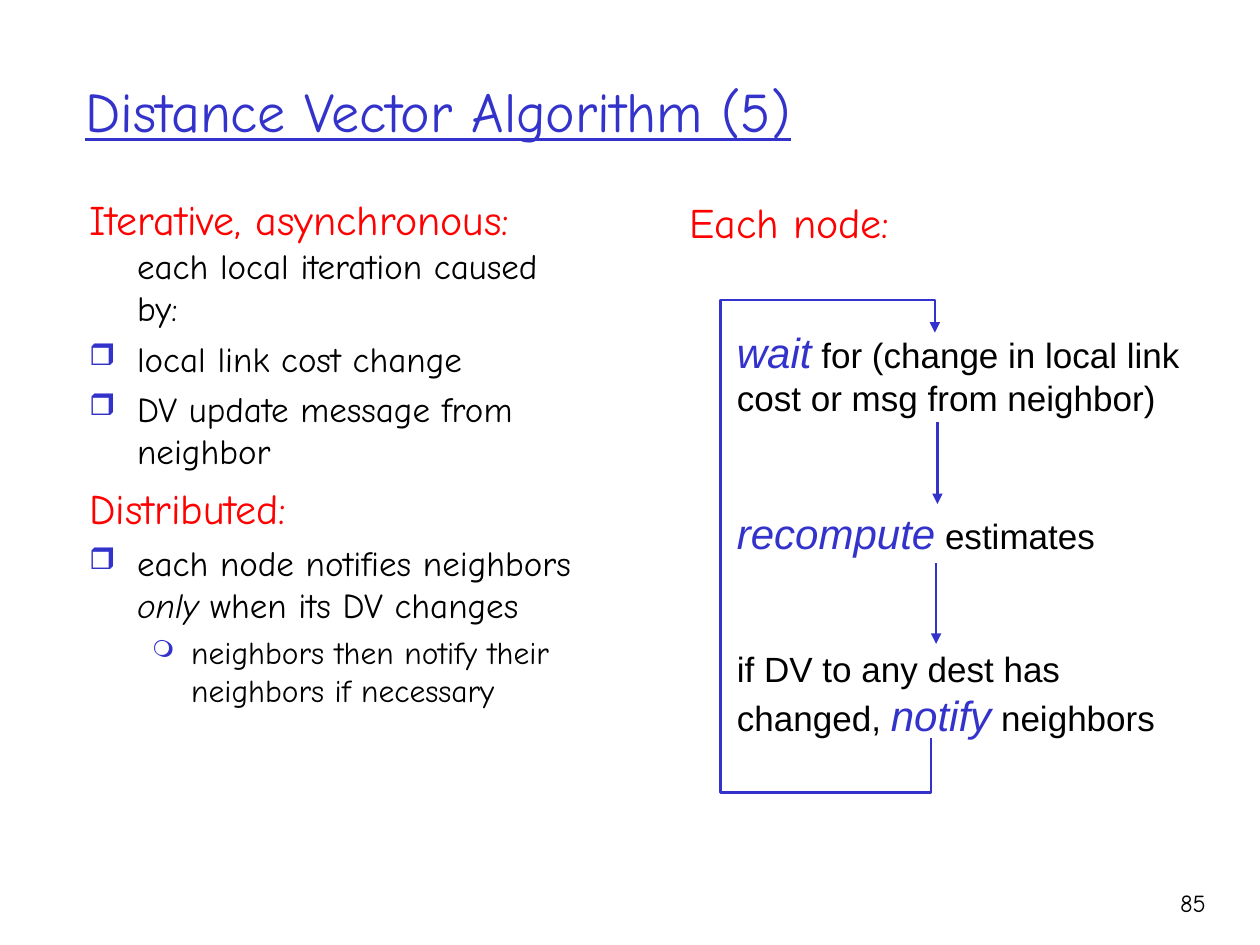
from lxml.etree import SubElement as Sub
from pptx import Presentation
from pptx.dml.color import RGBColor as RGB
from pptx.enum.shapes import MSO_CONNECTOR as Conn
from pptx.enum.text import MSO_ANCHOR as Anchor, PP_ALIGN as Align
from pptx.oxml.ns import qn
from pptx.util import Inches, Pt

BLUE = RGB(0x33, 0x33, 0xCC)
RED = RGB(0xFF, 0x00, 0x00)
BLACK = RGB(0x00, 0x00, 0x00)
COMIC, ARIAL = "Comic Neue", "Arial"

KINDS = {
    "head": (24, RED, False),
    "body": (20, BLACK, False),
    "em": (20, BLACK, True),
    "sub": (18, BLACK, False),
    "key": (24, BLUE, True),
}
LEVELS = {
    "plain": (0, 0.38, -0.38, None, None),
    "box": (0, 0.38, -0.38, "❒", 85),
    "ring": (1, 0.81, -0.31, "❍", 75),
}
POINTS = [
    ("plain", 0, [("Iterative, asynchronous: ", "head"),
                  ("each local iteration caused by:", "body")]),
    ("box", 5, [("local link cost change", "body")]),
    ("box", 5, [("DV update message from neighbor", "body")]),
    ("plain", 6, [("Distributed:", "head")]),
    ("box", 5, [("each node notifies neighbors ", "body"), ("only", "em"),
                (" when its DV changes", "body")]),
    ("ring", 4.5, [("neighbors then notify their neighbors if necessary", "sub")]),
]
STEPS = [
    [("wait", "key"),
     (" for (change in local link cost or msg from neighbor)", "body")],
    [("recompute", "key"), (" estimates", "body")],
    [("if DV to any dest has changed, ", "body"), ("notify", "key"),
     (" neighbors", "body")],
]
STEP_GAP = 51
ARROWS = [(7.44, 3.35, 4), (7.43, 4.47, 5.11)]
LOOP = [(7.39, 5.86), (7.39, 6.29), (5.72, 6.29), (5.72, 2.38),
        (7.42, 2.38), (7.42, 2.64)]

prs = Presentation()
prs.slide_width, prs.slide_height = Inches(10), Inches(7.5)
shapes = prs.slides.add_slide(prs.slide_layouts[6]).shapes


def add_box(*area):
    frame = shapes.add_textbox(*map(Inches, area)).text_frame
    frame.word_wrap = True
    return frame


def next_par(frame, first):
    return frame.paragraphs[0] if first else frame.add_paragraph()


def add_runs(par, runs, face):
    par.font.name = face
    for text, kind in runs:
        run = par.add_run()
        run.text = text
        size, color, slant = KINDS[kind]
        run.font.size, run.font.italic = Pt(size), slant
        run.font.color.rgb = color
        run.font.name = face


def add_line(text, size, color, align, *area):
    frame = add_box(*area)
    par = frame.paragraphs[0]
    par.text, par.alignment = text, align
    par.font.name, par.font.size = COMIC, Pt(size)
    par.font.color.rgb = color
    return frame


def set_level(par, name):
    level, left, hang, mark, size = LEVELS[name]
    par.level = level
    props = par._p.get_or_add_pPr()
    props.set("marL", str(Inches(left)))
    props.set("indent", str(Inches(hang)))
    if mark:
        Sub(Sub(props, qn("a:buClr")), qn("a:srgbClr"), val=str(BLUE))
        Sub(props, qn("a:buSzPct"), val=str(size * 1000))
        Sub(props, qn("a:buChar"), char=mark)
    else:
        Sub(props, qn("a:buNone"))


def style_arrow(shape):
    shape.line.color.rgb, shape.line.width = BLUE, Pt(1.5)
    Sub(shape.line._get_or_add_ln(), qn("a:tailEnd"), type="triangle")


title = add_line("Distance Vector Algorithm (5)", 32, BLUE, Align.LEFT,
                 0.58, 0.25, 8.5, 1.25)
title.vertical_anchor = Anchor.MIDDLE
title.paragraphs[0].font.underline = True

points = add_box(0.61, 1.49, 4.14, 5.08)
for i, (level, gap, runs) in enumerate(POINTS):
    par = next_par(points, i == 0)
    set_level(par, level)
    par.space_before = Pt(gap)
    add_runs(par, runs, COMIC)

steps = add_box(5.75, 2.54, 3.85, 3.8)
for i, runs in enumerate(STEPS):
    par = next_par(steps, i == 0)
    par.space_before = Pt(STEP_GAP if i else 0)
    add_runs(par, runs, ARIAL)

for x, top, end in ARROWS:
    arrow = shapes.add_connector(Conn.STRAIGHT, *map(Inches, (x, top, x, end)))
    style_arrow(arrow)
    Sub(arrow._element.spPr, qn("a:effectLst"))

path = [(Inches(x), Inches(y)) for x, y in LOOP]
pen = shapes.build_freeform(*path[0])
pen.add_line_segments(path[1:], close=False)
loop = pen.convert_to_shape()
loop.shadow.inherit = False
loop.fill.background()
style_arrow(loop)

add_line("Each node:", 24, RED, Align.CENTER,
         5.37, 1.51, 1.79, 0.5).word_wrap = False
add_line("85", 14, BLACK, Align.RIGHT, 8.93, 7, 0.74, 0.5)

prs.save("out.pptx")
